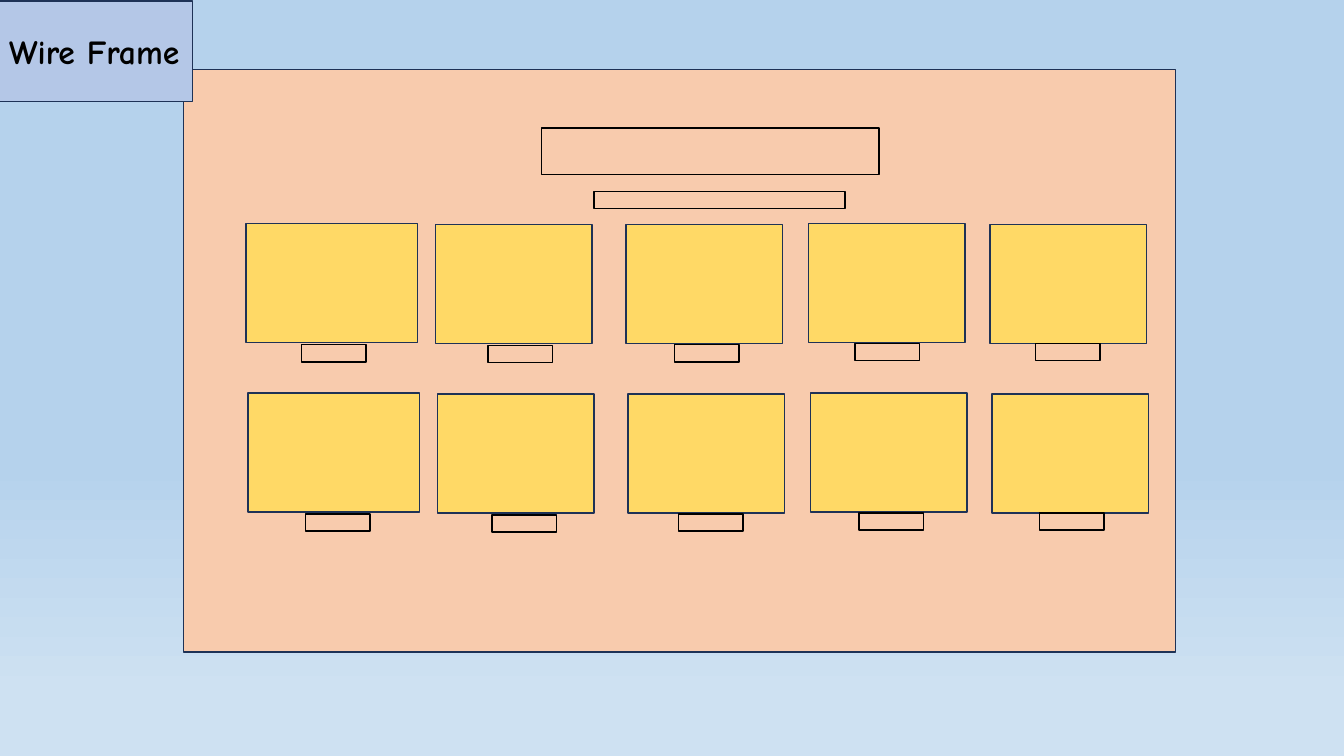
"""Build the wire frame slide: a panel with two header bars and a grid of captioned cards."""
from copy import deepcopy

from pptx import Presentation
from pptx.dml.color import RGBColor
from pptx.enum.shapes import MSO_SHAPE
from pptx.enum.text import MSO_ANCHOR, PP_ALIGN
from pptx.oxml.ns import qn
from pptx.util import Inches, Pt

TITLE = "Wire Frame"
FONT = "Comic Neue"

SKY = RGBColor(0xB5, 0xD2, 0xEC)
PALE_SKY = RGBColor(0xCE, 0xE1, 0xF2)
PEACH = RGBColor(0xF8, 0xCB, 0xAD)
LAVENDER = RGBColor(0xB4, 0xC7, 0xE7)
YELLOW = RGBColor(0xFF, 0xD9, 0x66)
NAVY = RGBColor(0x1E, 0x32, 0x56)
BLACK = RGBColor(0, 0, 0)

BACKDROP = [(0, SKY), (0.61, SKY), (0.92, PALE_SKY)]
PANEL = (1.82, 0.69, 9.84, 5.78)
TITLE_TAB = (-0.04, 0.01, 1.95, 1)
HEADER_BARS = [(5.37, 1.27, 3.35, 0.46), (5.89, 1.9, 2.49, 0.17)]

CARDS = [(2.44, 2.22, 1.7), (4.32, 2.23, 1.55), (6.21, 2.23, 1.55),
         (8.02, 2.22, 1.55), (9.82, 2.23, 1.55)]
CARD_HEIGHT = 1.18
CAPTIONS = [(2.99, 3.42), (4.84, 3.43), (6.69, 3.42), (8.48, 3.41), (10.27, 3.41)]
CAPTION_SIZE = (0.64, 0.17)
ROWS = 2
ROW_STEP = 1.68
CARD_SHIFT = 0.02
CAPTION_SHIFT = 0.04


def paint_background(page):
    fill = page.background.fill
    fill.gradient()
    fill.gradient_angle = 270
    stop_list = page.element.find(".//" + qn("a:gsLst"))
    stop_list.append(deepcopy(stop_list[0]))
    for stop, (position, color) in zip(fill.gradient_stops, BACKDROP):
        stop.position = position
        stop.color.rgb = color


def add_box(page, bounds, line, fill=None):
    box = page.shapes.add_shape(MSO_SHAPE.RECTANGLE, *map(Inches, bounds))
    box.shadow.inherit = False
    if fill is None:
        box.fill.background()
    else:
        box.fill.solid()
        box.fill.fore_color.rgb = fill
    box.line.color.rgb = line
    box.line.width = Pt(1)
    return box


def write_title(box):
    frame = box.text_frame
    frame.word_wrap = True
    frame.vertical_anchor = MSO_ANCHOR.MIDDLE
    para = frame.paragraphs[0]
    para.alignment = PP_ALIGN.CENTER
    span = para.add_run()
    span.text = TITLE
    span.font.name = FONT
    span.font.size = Pt(24)
    span.font.bold = True
    span.font.color.rgb = BLACK


def main():
    deck = Presentation()
    deck.slide_width = Inches(13.33)
    deck.slide_height = Inches(7.5)
    page = deck.slides.add_slide(deck.slide_layouts[6])

    paint_background(page)
    add_box(page, PANEL, NAVY, PEACH)
    write_title(add_box(page, TITLE_TAB, NAVY, LAVENDER))

    for row in range(ROWS):
        drop = row * ROW_STEP
        for left, top, width in CARDS:
            bounds = (left + row * CARD_SHIFT, top + drop, width, CARD_HEIGHT)
            add_box(page, bounds, NAVY, YELLOW)
        for left, top in CAPTIONS:
            bounds = (left + row * CAPTION_SHIFT, top + drop, *CAPTION_SIZE)
            add_box(page, bounds, BLACK)

    for bounds in HEADER_BARS:
        add_box(page, bounds, BLACK)

    deck.save("out.pptx")


if __name__ == "__main__":
    main()
